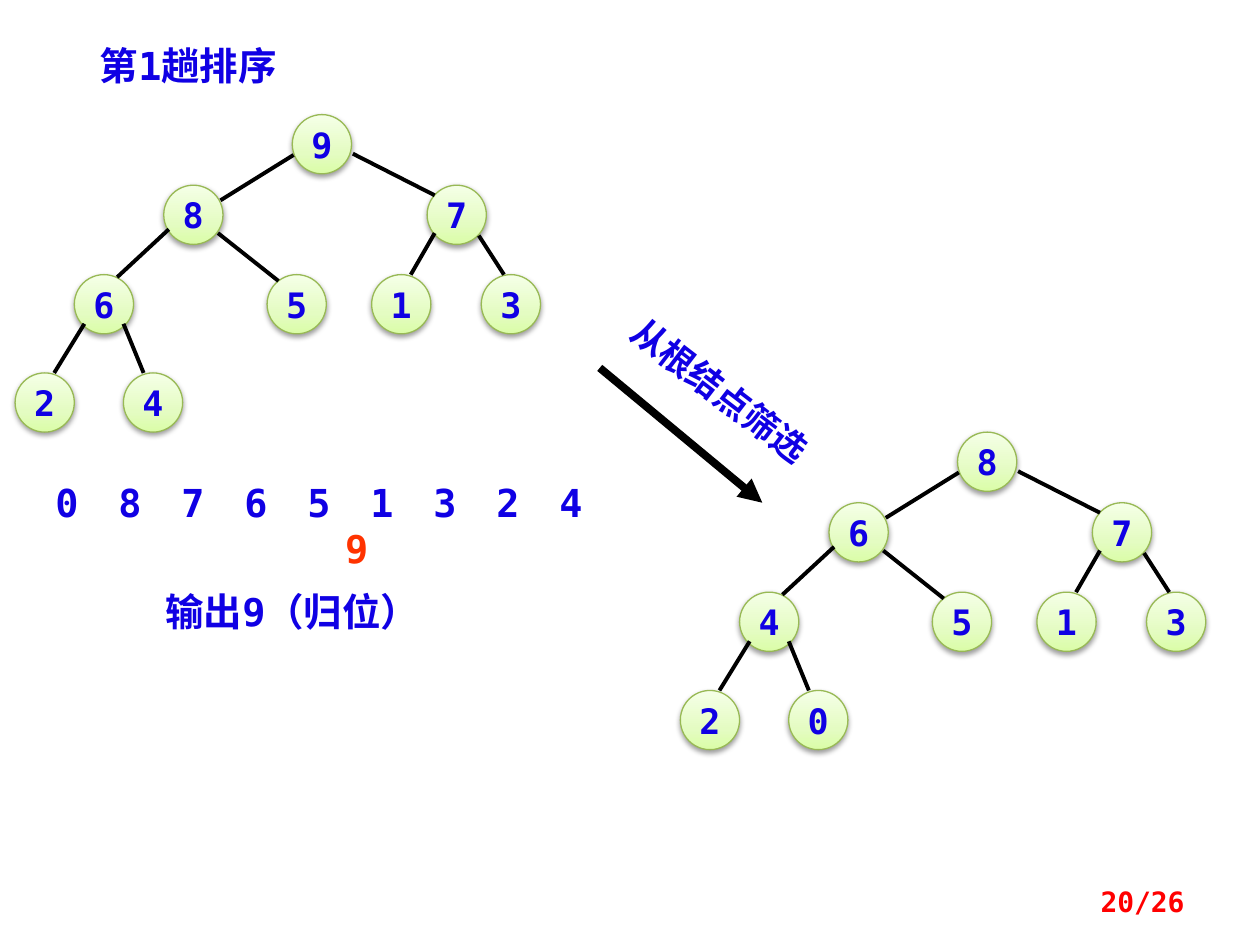
from pptx import Presentation
from pptx.dml.color import RGBColor
from pptx.enum.shapes import MSO_CONNECTOR, MSO_SHAPE
from pptx.enum.text import MSO_ANCHOR, MSO_AUTO_SIZE, PP_ALIGN
from pptx.oxml import parse_xml
from pptx.oxml.ns import nsdecls
from pptx.util import Inches, Pt
from lxml import etree

FONT = "DejaVu Sans Mono"
COLORS = {
    "text": "1000E4", "sorted": "FF3300", "page": "FF0000", "edge": "000000",
    "node_line": "98B955", "node_bottom": "DAFDA7", "node_mid": "E4FCC2",
    "node_top": "F5FFE7",
}

TITLE = "第1趟排序"
OUTPUT_NOTE = "输出9（归位）"
SIFT_NOTE = "从根结点筛选"
PAGE = "20/26"
UNSORTED = ["0", "8", "7", "6", "5", "1", "3", "2", "4"]
SORTED = "9"

# Both heaps in level order, with the offset of each tree on the slide
HEAPS = [
    ("987651324", (0, 0)),
    ("867451320", (5.28, 2.52)),
]
NODE_SIZE = 0.47
NODE_SPOTS = [
    (2.32, 0.91),
    (1.3, 1.47), (3.39, 1.47),
    (0.59, 2.18), (2.12, 2.18), (2.95, 2.18), (3.82, 2.18),
    (0.12, 2.96), (0.98, 2.96),
]
EDGES = [
    ((2.33, 1.23), (1.75, 1.59)), ((2.8, 1.22), (3.45, 1.55)),
    ((1.34, 1.82), (0.93, 2.2)), ((1.73, 1.85), (2.21, 2.23)),
    ((3.45, 1.85), (3.26, 2.18)), ((3.8, 1.87), (4, 2.18)),
    ((0.67, 2.57), (0.43, 2.96)), ((0.98, 2.57), (1.14, 2.96)),
]
SIFT_ARROW = ((4.76, 2.92), (6.05, 3.99))
DIGIT_INDENT, DIGIT_PITCH = 0.07, 0.55


def style(paragraph, size, color="text", align=PP_ALIGN.CENTER):
    paragraph.alignment = align
    for run in paragraph.runs:
        run.font.name = FONT
        run.font.size = Pt(size)
        run.font.bold = True
        run.font.color.rgb = RGBColor.from_string(COLORS[color])


def add_label(slide, text, place, size, color="text", align=PP_ALIGN.CENTER):
    label = slide.shapes.add_textbox(*map(Inches, place))
    label.text_frame.word_wrap = True
    label.text_frame.text = text
    style(label.text_frame.paragraphs[0], size, color, align)
    return label


def add_line(slide, start, end, width):
    line = slide.shapes.add_connector(
        MSO_CONNECTOR.STRAIGHT, *map(Inches, (*start, *end)))
    line.line.width = Pt(width)
    line.line.color.rgb = RGBColor.from_string(COLORS["edge"])
    line._element.spPr.append(parse_xml(f"<a:effectLst {nsdecls('a')}/>"))
    return line


def add_node(slide, key, left, top):
    node = slide.shapes.add_shape(
        MSO_SHAPE.OVAL, *map(Inches, (left, top, NODE_SIZE, NODE_SIZE)))
    node.line.color.rgb = RGBColor.from_string(COLORS["node_line"])
    node.line.width = Pt(0.75)
    stops = "".join(
        f'<a:gs pos="{pos}"><a:srgbClr val="{COLORS[name]}"/></a:gs>'
        for pos, name in [(0, "node_bottom"), (35000, "node_mid"), (100000, "node_top")])
    properties = node._element.spPr
    properties.insert(2, parse_xml(
        f'<a:gradFill {nsdecls("a")} rotWithShape="1"><a:gsLst>{stops}</a:gsLst>'
        '<a:lin ang="16200000" scaled="1"/></a:gradFill>'))
    properties.append(parse_xml(
        f'<a:effectLst {nsdecls("a")}>'
        f'<a:outerShdw blurRad="{Pt(3.1)}" dist="{Pt(1.6)}" dir="5400000" rotWithShape="0">'
        '<a:srgbClr val="000000"><a:alpha val="38000"/></a:srgbClr>'
        '</a:outerShdw></a:effectLst>'))
    frame = node.text_frame
    frame.word_wrap = False
    frame.vertical_anchor = MSO_ANCHOR.MIDDLE
    frame.text = key
    style(frame.paragraphs[0], 20)


def add_heap(slide, keys, offset):
    dx, dy = offset
    for key, (left, top) in zip(keys, NODE_SPOTS):
        add_node(slide, key, left + dx, top + dy)
    for edge in EDGES:
        start, end = [(x + dx, y + dy) for x, y in edge]
        add_line(slide, start, end, 2.25)


def add_sequence(slide):
    """Unsorted keys on evenly spaced tab stops, the placed key below them."""
    label = add_label(slide, "\t".join(UNSORTED), (0.27, 3.75, 5.12, 0.83), 22,
                      align=PP_ALIGN.LEFT)
    keys = label.text_frame.paragraphs[0]
    properties = keys._p.get_or_add_pPr()
    properties.set("marL", str(Inches(DIGIT_INDENT)))
    properties.set("indent", "0")
    tabs = parse_xml(f"<a:tabLst {nsdecls('a')}/>")
    for i in range(1, len(UNSORTED)):
        tab = etree.SubElement(tabs, tabs.tag.replace("tabLst", "tab"))
        tab.set("pos", str(Inches(DIGIT_INDENT + i * DIGIT_PITCH)))
        tab.set("algn", "l")
    properties.append(tabs)
    placed = label.text_frame.add_paragraph()
    placed.text = SORTED
    style(placed, 22, "sorted")


def set_title(slide):
    title = slide.shapes.title
    title.left, title.top, title.width, title.height = map(
        Inches, (0.43, 0.28, 2.13, 0.47))
    frame = title.text_frame
    frame.text = TITLE
    frame.word_wrap = True
    frame.auto_size = MSO_AUTO_SIZE.NONE
    frame.vertical_anchor = MSO_ANCHOR.TOP
    style(frame.paragraphs[0], 22)


def main():
    deck = Presentation()
    deck.slide_width, deck.slide_height = Inches(10), Inches(7.5)
    slide = deck.slides.add_slide(deck.slide_layouts[5])

    set_title(slide)
    for keys, offset in HEAPS:
        add_heap(slide, keys, offset)
    add_sequence(slide)
    add_label(slide, OUTPUT_NOTE, (1.06, 4.62, 2.52, 0.47), 22)

    arrow = add_line(slide, *SIFT_ARROW, 4.5)
    arrow.line._get_or_add_ln().append(
        parse_xml(f'<a:tailEnd {nsdecls("a")} type="triangle"/>'))
    add_label(slide, SIFT_NOTE, (4.77, 2.88, 1.89, 0.43), 20).rotation = 37.5

    page = add_label(slide, PAGE, (7.17, 6.95, 2.33, 0.4), 16, "page", PP_ALIGN.RIGHT)
    page.text_frame.vertical_anchor = MSO_ANCHOR.MIDDLE
    deck.save("out.pptx")


if __name__ == "__main__":
    main()
